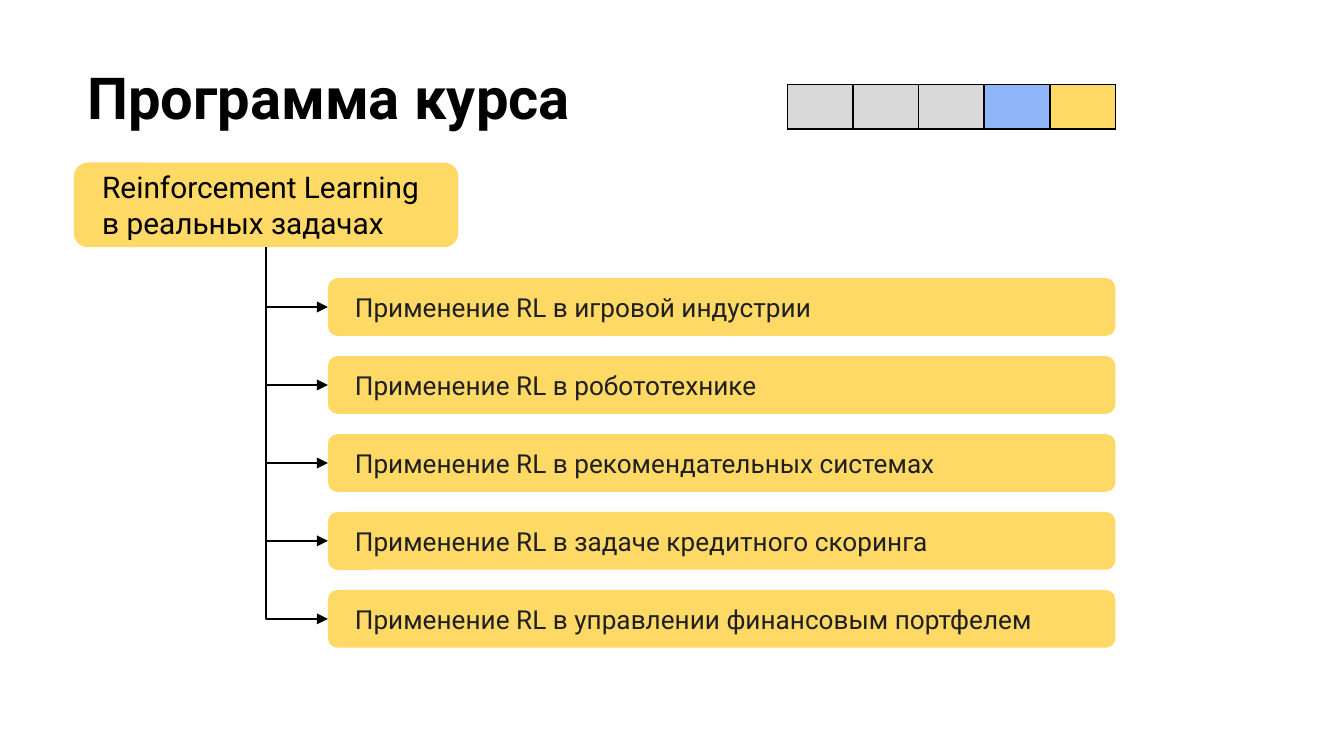
from lxml.etree import SubElement
from pptx import Presentation
from pptx.dml.color import RGBColor
from pptx.enum.shapes import MSO_CONNECTOR as Connector, MSO_SHAPE as Shape
from pptx.enum.text import MSO_ANCHOR as Anchor, MSO_AUTO_SIZE as AutoSize, PP_ALIGN as Align
from pptx.oxml.ns import qn
from pptx.util import Inches, Pt

BLACK = RGBColor(0x00, 0x00, 0x00)
INK = RGBColor(0x1F, 0x1F, 0x1F)
YELLOW = RGBColor(0xFF, 0xD9, 0x66)
BLUE = RGBColor(0x8E, 0xB6, 0xF8)
GREY = RGBColor(0xD9, 0xD9, 0xD9)
FONT = "Roboto"

TOPICS = [
    "Применение RL в игровой индустрии",
    "Применение RL в робототехнике",
    "Применение RL в рекомендательных системах",
    "Применение RL в задаче кредитного скоринга",
    "Применение RL в управлении финансовым портфелем",
]
PROGRESS = [GREY, GREY, GREY, BLUE, YELLOW]


def write(frame, text, size, color, side, anchor, bold=False):
    """Fill a text frame with one left-aligned styled paragraph."""
    frame.text = text
    frame.word_wrap = True
    frame.auto_size = AutoSize.NONE
    frame.vertical_anchor = anchor
    frame.margin_left = frame.margin_right = Inches(side)
    frame.margin_top = frame.margin_bottom = Inches(0.1)
    paragraph = frame.paragraphs[0]
    paragraph.alignment = Align.LEFT
    font = paragraph.runs[0].font
    font.name, font.size, font.bold = FONT, Pt(size), bold
    font.color.rgb = color


def add_title(slide, text):
    """Place and format the slide title."""
    title = slide.shapes.title
    title.left, title.top = Inches(0.55), Inches(0.36)
    title.width, title.height = Inches(9.32), Inches(1.2)
    write(title.text_frame, text, 31, BLACK, 0.1, Anchor.TOP, bold=True)


def add_card(slide, text, left, top, width, height, size, color):
    """Add a yellow rounded card with text."""
    card = slide.shapes.add_shape(
        Shape.ROUNDED_RECTANGLE, Inches(left), Inches(top), Inches(width), Inches(height))
    card.shadow.inherit = False
    card.fill.solid()
    card.fill.fore_color.rgb = YELLOW
    card.line.fill.background()
    write(card.text_frame, text, size, color, 0.18, Anchor.MIDDLE)
    return card


def add_branch(slide, module, topic):
    """Join the module's bottom to the topic's left side with a one-bend arrow."""
    branch = slide.shapes.add_connector(Connector.ELBOW, 0, 0, 0, 0)
    branch.begin_connect(module, 2)
    branch.end_connect(topic, 1)
    start_x, start_y = module.left + module.width // 2, module.top + module.height
    run = topic.left - start_x
    drop = topic.top + topic.height // 2 - start_y
    branch.left, branch.top = start_x + (run - drop) // 2, start_y + (drop - run) // 2
    branch.width, branch.height = drop, run
    branch.line.color.rgb = BLACK
    branch.line.width = Pt(0.75)
    properties = branch._element.spPr
    frame = properties.find(qn("a:xfrm"))
    frame.set("rot", "16200000")
    frame.set("flipH", "1")
    frame.attrib.pop("flipV", None)
    properties.find(qn("a:prstGeom")).set("prst", "bentConnector2")
    SubElement(properties.find(qn("a:ln")), qn("a:tailEnd"), type="triangle")
    SubElement(properties, qn("a:effectLst"))


def format_cell(cell, color):
    """Give a cell its fill, black borders and no margins."""
    cell.margin_left = cell.margin_right = cell.margin_top = cell.margin_bottom = 0
    properties = cell._tc.get_or_add_tcPr()
    for side in ("a:lnL", "a:lnR", "a:lnT", "a:lnB"):
        border = SubElement(properties, qn(side), w=str(Pt(1)))
        SubElement(SubElement(border, qn("a:solidFill")), qn("a:srgbClr"), val=str(BLACK))
    cell.fill.solid()
    cell.fill.fore_color.rgb = color


def add_progress(slide, colors):
    """Add the one-row table that marks the course progress."""
    table = slide.shapes.add_table(
        1, len(colors), Inches(5.86), Inches(0.63), Inches(2.44), Inches(0.33)).table
    table.first_row = table.horz_banding = False
    for cell, color in zip(table.rows[0].cells, colors):
        format_cell(cell, color)


def main():
    """Build the course programme slide."""
    deck = Presentation()
    deck.slide_width = Inches(10)
    deck.slide_height = deck.slide_width * 9 // 16
    slide = deck.slides.add_slide(deck.slide_layouts[5])
    add_title(slide, "Программа курса")
    add_progress(slide, PROGRESS)
    module = add_card(slide, "Reinforcement Learning в реальных задачах",
                      0.55, 1.21, 2.86, 0.63, 16, BLACK)
    for row, text in enumerate(TOPICS):
        topic = add_card(slide, text, 2.44, 2.07 + 0.58 * row, 5.86, 0.43, 14, INK)
        add_branch(slide, module, topic)
    deck.save("out.pptx")


if __name__ == "__main__":
    main()
